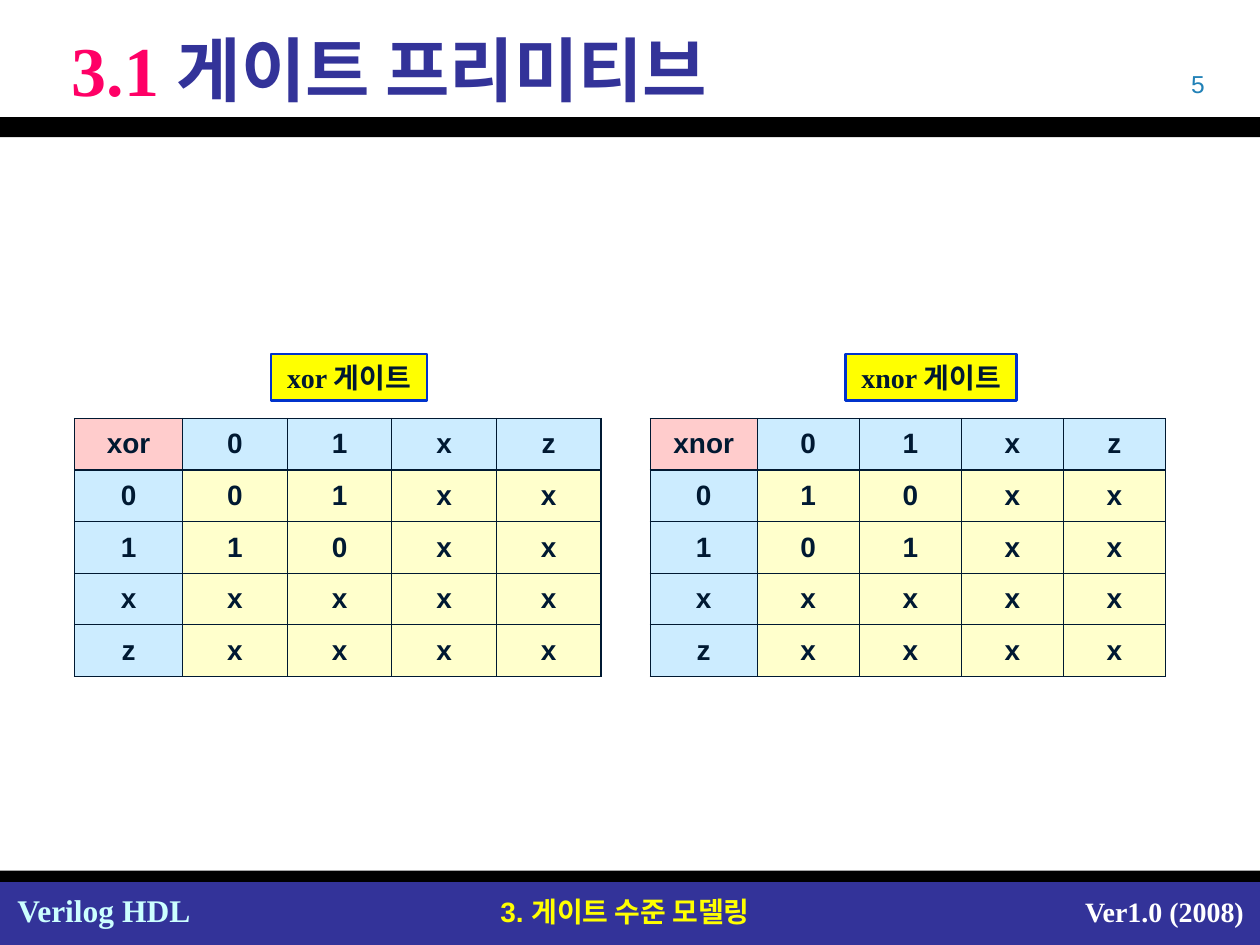
from lxml import etree
from pptx import Presentation
from pptx.dml.color import RGBColor
from pptx.enum import shapes, text
from pptx.oxml import ns
from pptx.util import Inches, Pt

# Content
TITLE = [("3.1 ", "FF0066"), ("게이트 프리미티브", "333399")]
SERIF, SANS = "Times New Roman", "Arial"
LEFT, CENTER, RIGHT = text.PP_ALIGN.LEFT, text.PP_ALIGN.CENTER, text.PP_ALIGN.RIGHT
INK = "001932"
BARS = [  # top, height, colour
    (7, 0.5, "333399"),
    (0.93, 0.16, "000000"),
    (6.91, 0.09, "000000"),
]
LABELS = [  # text, box, size, font, colour, bold, alignment
    ("3. 게이트 수준 모델링", (3.62, 7.05, 2.68, 0.37), 16, SANS, "FFFF00", True, CENTER),
    ("Ver1.0 (2008)", (8.39, 7.05, 1.58, 0.37), 16, SERIF, "FFFFFF", True, RIGHT),
    ("Verilog HDL", (0.04, 7.02, 1.58, 0.4), 18, SERIF, "CCFFFF", True, LEFT),
    ("5", (7.33, 0.5, 2.33, 0.33), 14, SANS, "2181B7", False, RIGHT),
]
STATES = "01xz"
GATES = [  # name, outputs by row, tag left and width, table left, column widths
    ("xor", ["01xx", "10xx", "xxxx", "xxxx"], 2.15, 1.24, 0.59, (0.86, 0.83)),
    ("xnor", ["10xx", "01xx", "xxxx", "xxxx"], 6.71, 1.36, 5.16, (0.85, 0.81)),
]
TAG_TOP, TAG_HEIGHT = 2.81, 0.37
TABLE_TOP, ROW_HEIGHT = 3.32, 0.41


def rgb(value):
    return RGBColor.from_string(value)


def paint(item, color):
    item.fill.solid()
    item.fill.fore_color.rgb = rgb(color)


def write(tf, words, size, font, color, bold=True, align=CENTER):
    p = tf.paragraphs[0]
    p.text = words
    p.alignment = align
    p.font.size, p.font.name, p.font.bold = Pt(size), font, bold
    p.font.color.rgb = rgb(color)


def add_box(s, box, color):
    sp = s.shapes.add_shape(shapes.MSO_SHAPE.RECTANGLE, *map(Inches, box))
    sp.shadow.inherit = False
    paint(sp, color)
    sp.line.fill.background()
    return sp


def add_borders(cell, color, width):
    tc_pr = cell._tc.get_or_add_tcPr()
    for side in ("lnL", "lnR", "lnT", "lnB"):
        ln = etree.SubElement(tc_pr, ns.qn(f"a:{side}"), w=str(Pt(width)))
        fill = etree.SubElement(ln, ns.qn("a:solidFill"))
        etree.SubElement(fill, ns.qn("a:srgbClr"), val=color)


def add_truth_table(s, name, outputs, left, widths):
    rows = [[name, *STATES]] + [[a, *out] for a, out in zip(STATES, outputs)]
    n = len(rows)
    first, other = widths
    table = s.shapes.add_table(
        n, n, Inches(left), Inches(TABLE_TOP),
        Inches(first + other * (n - 1)), Inches(ROW_HEIGHT * n)).table
    table.first_row = table.horz_banding = False
    for i, row in enumerate(rows):
        table.columns[i].width = Inches(other if i else first)
        table.rows[i].height = Inches(ROW_HEIGHT)
        for j, value in enumerate(row):
            cell = table.cell(i, j)
            cell.vertical_anchor = text.MSO_ANCHOR.MIDDLE
            add_borders(cell, INK, 0.75)
            paint(cell, "FFFFCC" if i and j else "CCECFF" if i or j else "FFCCCC")
            write(cell.text_frame, value, 16, SANS, INK)


prs = Presentation()
prs.slide_width, prs.slide_height = Inches(10), Inches(7.5)
s = prs.slides.add_slide(prs.slide_layouts[5])

# Bars and footer
for top, height, color in BARS:
    add_box(s, (0, top, 10, height), color)
for words, box, *style in LABELS:
    tf = s.shapes.add_textbox(*map(Inches, box)).text_frame
    tf.word_wrap = True
    write(tf, words, *style)

# Title
title = s.shapes.title
title.left, title.top, title.width, title.height = map(Inches, (0.17, 0.13, 9.67, 0.83))
tf = title.text_frame
tf.auto_size = text.MSO_AUTO_SIZE.NONE
tf.vertical_anchor = text.MSO_ANCHOR.MIDDLE
p = tf.paragraphs[0]
p.alignment = LEFT
p._p.get_or_add_pPr().set("marL", str(Inches(0.3)))
p.font.size, p.font.name, p.font.bold = Pt(40), SERIF, True
for words, color in TITLE:
    r = p.add_run()
    r.text = words
    r.font.color.rgb = rgb(color)

# Gate tags and truth tables
for name, outputs, tag_left, tag_width, left, widths in GATES:
    tag = add_box(s, (tag_left, TAG_TOP, tag_width, TAG_HEIGHT), "FFFF00")
    tag.line.color.rgb = rgb("0033CC")
    tag.line.width = Pt(1.5)
    tag.text_frame.word_wrap = False
    write(tag.text_frame, f"{name} 게이트", 16, SERIF, INK)
    add_truth_table(s, name, outputs, left, widths)

prs.save("out.pptx")
